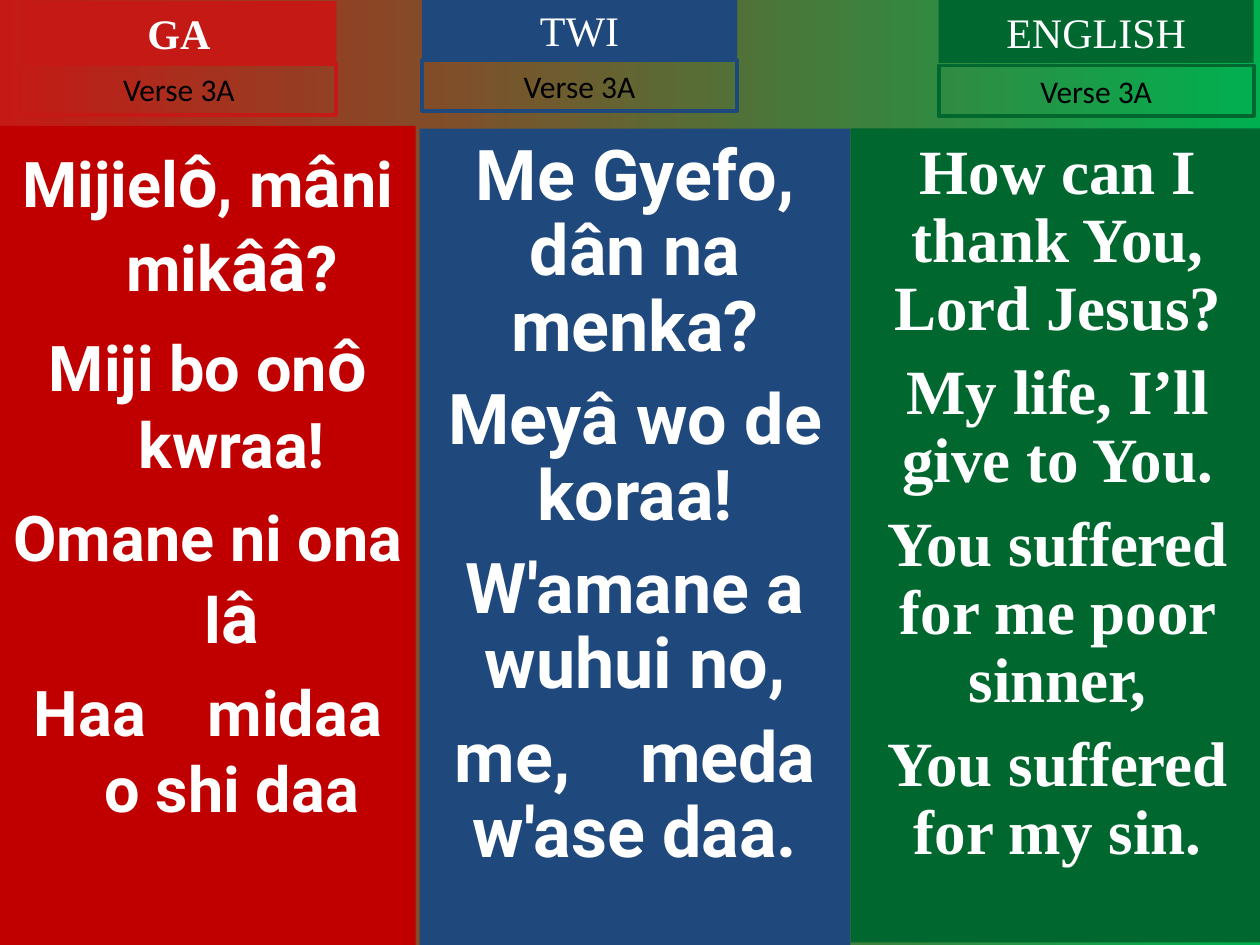
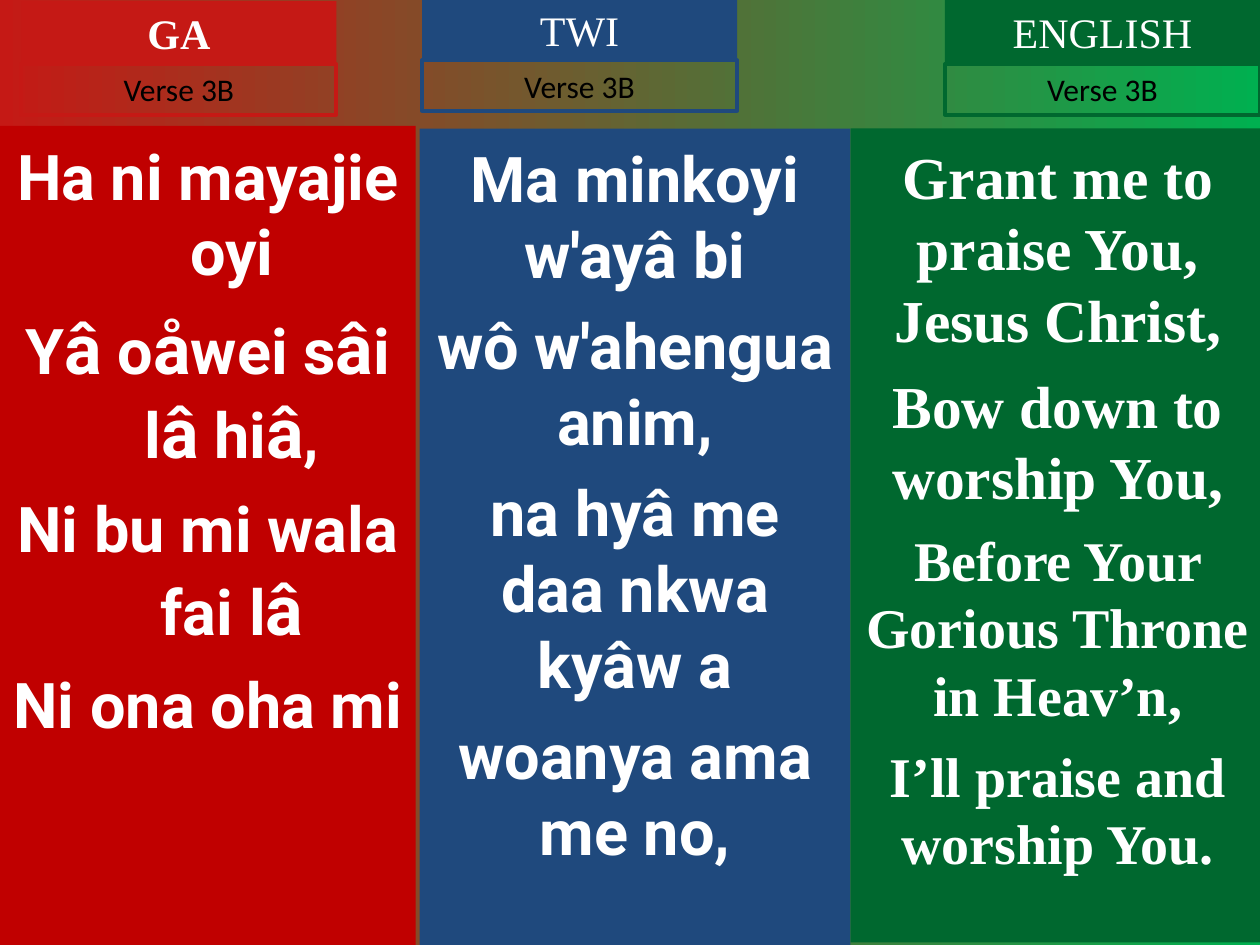
from itertools import groupby

from pptx import Presentation
from pptx.dml.color import RGBColor as Rgb
from pptx.enum.shapes import MSO_SHAPE as Form
from pptx.enum.text import MSO_ANCHOR as Anchor, PP_ALIGN as Align
from pptx.util import Inches, Pt
from lxml.etree import SubElement
from pptx.oxml.ns import qn

RED = Rgb(0xC0, 0, 0)
CORAL = Rgb(0xC5, 0x19, 0x15)
BLUE = Rgb(0x1F, 0x49, 0x7D)
GREEN = Rgb(0, 0x68, 0x2F)
LIME = Rgb(0, 0xB0, 0x50)
WHITE = Rgb(0xFF, 0xFF, 0xFF)
BLACK = Rgb(0, 0, 0)

SERIF, SANS, PLAIN = "Times New Roman", "Roboto", "Calibri"
ACCENTS = "âôå"

VERSES = [
    {
        "name": "Verse 3A",
        "ga": ["Mijielô, mâni mikââ?", "Miji bo onô kwraa!",
               "Omane ni ona lâ", "Haa\tmidaa o shi daa"],
        "twi": ["Me Gyefo, dân na menka?", "Meyâ wo de koraa!",
                "W'amane a wuhui no,", "me,\tmeda w'ase daa."],
        "english": ["How can I thank You, Lord Jesus?",
                    "My life, I’ll give to You.",
                    "You suffered for me poor sinner,",
                    "You suffered for my sin."],
        "twi_size": 40, "sizes": [36] * 4, "pitch": 0.9,
        "left": 7.45, "tag_top": 0.52,
    },
    {
        "name": "Verse 3B",
        "ga": ["Ha ni mayajie oyi", "Yâ oåwei sâi lâ hiâ,",
               "Ni bu mi wala fai lâ", "Ni ona oha mi"],
        "twi": ["Ma minkoyi w'ayâ bi", "wô w'ahengua anim,",
                "na hyâ me daa nkwa kyâw a", "woanya ama me no,"],
        "english": ["Grant me to praise You, Jesus Christ,",
                    "Bow down to worship You,",
                    "Before Your Gorious Throne in Heav’n,",
                    "I’ll praise and worship You."],
        "twi_size": 36, "sizes": [34, 34, 32, 32], "pitch": None,
        "left": 7.5, "tag_top": 0.51,
    },
]


def add_box(slide, left, top, width, height, fill=None, line=None):
    box = slide.shapes.add_shape(
        Form.RECTANGLE, Inches(left), Inches(top), Inches(width), Inches(height))
    box.shadow.inherit = False
    if fill is None:
        box.fill.background()
    else:
        box.fill.solid()
        box.fill.fore_color.rgb = fill
    if line is None:
        box.line.fill.background()
    else:
        box.line.color.rgb = line
        box.line.width = Pt(2.25)
    frame = box.text_frame
    frame.word_wrap = True
    frame.vertical_anchor = Anchor.TOP
    return frame


def style(para, face, color, size=None, bold=False):
    para.alignment = Align.CENTER
    font = para.font
    font.name, font.bold = face, bold
    font.color.rgb = color
    if size:
        font.size = Pt(size)


def add_label(slide, text, left, top, height, look, **paint):
    frame = add_box(slide, left, top, 2.5, height, **paint)
    para = frame.paragraphs[0]
    para.text = text
    style(para, *look)


def add_head(slide, title, verse, left, top, tag_top, color, bold=False):
    add_label(slide, title, left, top, 0.5, (SERIF, WHITE, 24, bold), fill=color)
    add_label(slide, verse, left, tag_top, 0.4, (PLAIN, BLACK, 18), line=color)


def add_tab(para, stop):
    tabs = SubElement(para._p.get_or_add_pPr(), qn("a:tabLst"))
    SubElement(tabs, qn("a:tab"), pos=str(Inches(stop)), algn="l")


def add_lines(frame, lines, sizes, face, pitch=None, stop=None):
    frame.margin_top = Inches(0.09)
    for i, (text, size) in enumerate(zip(lines, sizes)):
        para = frame.add_paragraph() if i else frame.paragraphs[0]
        para.line_spacing = pitch
        if i:
            para.space_before = Pt(size / 4)
        if "\t" in text:
            add_tab(para, stop)
        para.add_run().text = text
        style(para, face, WHITE, size, True)


def add_ga(frame, lines):
    frame.margin_top = Inches(0.09)
    for i, text in enumerate(lines):
        para = frame.add_paragraph() if i else frame.paragraphs[0]
        props = para._p.get_or_add_pPr()
        props.set("marL", str(Inches(0.38)))
        props.set("indent", str(Inches(-0.38)))
        if "\t" in text:
            add_tab(para, 1.13)
        for big, part in groupby(text, lambda sign: sign in ACCENTS):
            run = para.add_run()
            run.text = "".join(part)
            size = 40 if big else 36
            run.font.size = Pt(size)
        if i:
            para.space_before = Pt(size / 4)
        style(para, SANS, WHITE, bold=True)


def paint_back(slide):
    fill = slide.background.fill
    fill.gradient()
    fill.gradient_angle = 0
    for stop, color, place in zip(fill.gradient_stops, (CORAL, LIME), (0, 1)):
        stop.color.rgb = color
        stop.position = place


def add_verse(deck, verse):
    slide = deck.slides.add_slide(deck.slide_layouts[6])
    paint_back(slide)
    name = verse["name"]
    add_ga(add_box(slide, 0, 1, 3.3, 6.5, fill=RED), verse["ga"])
    add_lines(add_box(slide, 3.33, 1.02, 3.42, 6.48, fill=BLUE),
              verse["twi"], [verse["twi_size"]] * 4, SANS, verse["pitch"], 1.47)
    add_head(slide, "GA", name, 0.17, 0.01, 0.51, CORAL, True)
    add_head(slide, "TWI", name, 3.35, -0.01, 0.48, BLUE)
    add_lines(add_box(slide, 6.75, 1.02, 3.29, 6.46, fill=GREEN),
              verse["english"], verse["sizes"], SERIF, verse["pitch"])
    add_head(slide, "ENGLISH", name, verse["left"], 0, verse["tag_top"], GREEN)


def main():
    deck = Presentation()
    deck.slide_width, deck.slide_height = Inches(10), Inches(7.5)
    for verse in VERSES:
        add_verse(deck, verse)
    deck.save("out.pptx")


if __name__ == "__main__":
    main()
